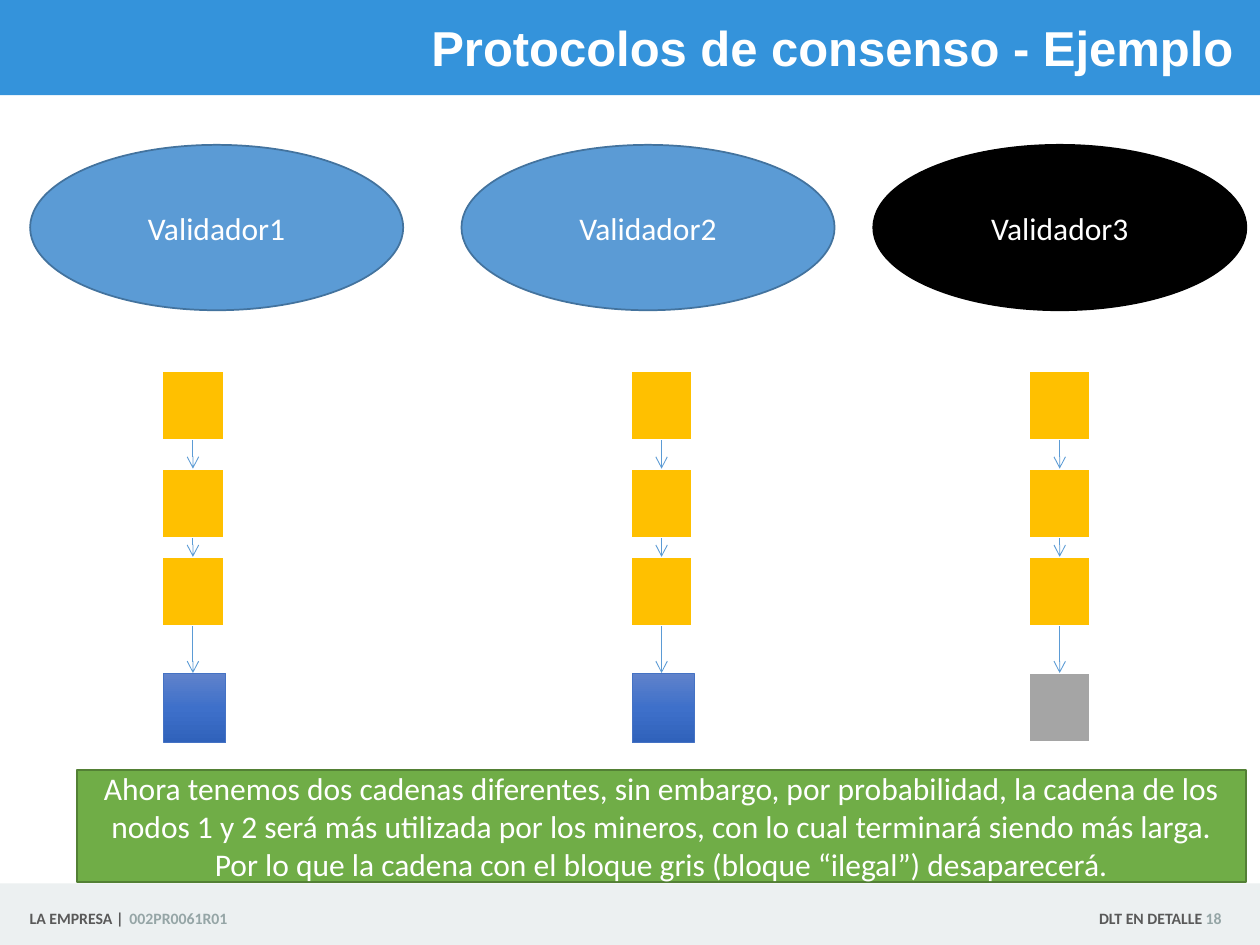
from copy import deepcopy

from lxml import etree
from pptx import Presentation
from pptx.dml.color import RGBColor
from pptx.enum import shapes, text
from pptx.oxml import ns
from pptx.util import Pt

WHITE = RGBColor(0xFF, 0xFF, 0xFF)
BLACK = RGBColor(0, 0, 0)
HEADER_BLUE = RGBColor(0x34, 0x93, 0xDB)
FOOTER_GRAY = RGBColor(0xEC, 0xF0, 0xF1)
DARK_GRAY = RGBColor(0x59, 0x59, 0x59)
SOFT_GRAY = RGBColor(0x95, 0xA5, 0xA6)
NODE_BLUE = RGBColor(0x5B, 0x9B, 0xD5)
NODE_EDGE = RGBColor(0x43, 0x73, 0x9E)
GOLD = RGBColor(0xFF, 0xC0, 0x00)
ILLEGAL_GRAY = RGBColor(0xA5, 0xA5, 0xA5)
BLOCK_EDGE = RGBColor(0x44, 0x72, 0xC4)
BLOCK_BLUES = [RGBColor(0x61, 0x83, 0xCB), RGBColor(0x3E, 0x70, 0xCA), RGBColor(0x30, 0x62, 0xBB)]
GREEN = RGBColor(0x70, 0xAD, 0x47)
GREEN_EDGE = RGBColor(0x53, 0x80, 0x35)

TITLE = "Protocolos de consenso - Ejemplo"
CONCLUSION = (
    "Ahora tenemos dos cadenas diferentes, sin embargo, por probabilidad, "
    "la cadena de los nodos 1 y 2 será más utilizada por los mineros, con lo cual "
    "terminará siendo más larga. Por lo que la cadena con el bloque gris "
    "(bloque “ilegal”) desaparecerá."
)
VALIDATORS = [
    ("Validador1", 17.2, 92.5, True),
    ("Validador2", 263.7, 360.3, True),
    ("Validador3", 499, 587.8, False),
]
LEFT, CENTER, RIGHT = text.PP_ALIGN.LEFT, text.PP_ALIGN.CENTER, text.PP_ALIGN.RIGHT
FOOTER = [
    ("LA EMPRESA |", 2, 68.5, RIGHT, DARK_GRAY, (7.2, 0)),
    ("002PR0061R01", 74, 80, LEFT, SOFT_GRAY, (0, 7.2)),
    ("DLT EN DETALLE", 443.5, 243.4, RIGHT, DARK_GRAY, (7.2, 0)),
    (" 18", 686.9, 25, LEFT, SOFT_GRAY, (0, 7.2)),
]
BLOCK_TOPS = [211.8, 267.8, 318.2, 384.6]
BLOCK_W, BLOCK_H = 35.5, 39.8

prs = Presentation()
prs.slide_width, prs.slide_height = Pt(720), Pt(540)
slide = prs.slides.add_slide(prs.slide_layouts[6])


def write(shape, words, size, color, align=CENTER, font="Calibri", bold=False, sides=(7.2, 7.2)):
    frame = shape.text_frame
    frame.word_wrap = True
    frame.vertical_anchor = text.MSO_ANCHOR.MIDDLE
    frame.margin_left, frame.margin_right = map(Pt, sides)
    frame.text = words
    paragraph = frame.paragraphs[0]
    paragraph.alignment = align
    run_font = paragraph.runs[0].font
    run_font.name, run_font.size, run_font.bold = font, Pt(size), bold
    run_font.color.rgb = color


def add_label(words, box, *style, **options):
    label = slide.shapes.add_textbox(*map(Pt, box))
    write(label, words, *style, **options)


def add_figure(kind, box, fill, edge=None, weight=1):
    figure = slide.shapes.add_shape(kind, *map(Pt, box))
    figure.shadow.inherit = False
    if isinstance(fill, list):
        shade(figure, fill)
    else:
        figure.fill.solid()
        figure.fill.fore_color.rgb = fill
    if edge is None:
        figure.line.fill.background()
    else:
        figure.line.color.rgb = edge
        figure.line.width = Pt(weight)
    return figure


def shade(figure, colors):
    figure.fill.gradient()
    figure.fill.gradient_angle = 270
    stops = figure._element.spPr.find(".//" + ns.qn("a:gsLst"))
    middle = deepcopy(stops[0])
    middle.set("pos", "50000")
    stops.insert(1, middle)
    for stop, color in zip(figure.fill.gradient_stops, colors):
        stop.color.rgb = color


def add_arrow(x, top, bottom):
    arrow = slide.shapes.add_connector(
        shapes.MSO_CONNECTOR.STRAIGHT, Pt(x), Pt(top), Pt(x), Pt(bottom)
    )
    arrow.line.color.rgb = NODE_BLUE
    arrow.line.width = Pt(0.5)
    etree.SubElement(arrow.line._get_or_add_ln(), ns.qn("a:tailEnd"), type="arrow")
    etree.SubElement(arrow._element.spPr, ns.qn("a:effectLst"))


RECT, OVAL = shapes.MSO_SHAPE.RECTANGLE, shapes.MSO_SHAPE.OVAL

add_figure(RECT, (0, 0, 720, 54.4), HEADER_BLUE)
add_figure(RECT, (0, 504.8, 720, 35.2), FOOTER_GRAY)
add_label(TITLE, (110.9, 0.7, 601, 51.8), 28, WHITE, RIGHT, font="Arial", bold=True)
for words, left, width, align, color, sides in FOOTER:
    add_label(words, (left, 513.7, width, 22.3), 9, color, align, bold=True, sides=sides)

for name, oval_left, chain_left, honest in VALIDATORS:
    node_colors = (NODE_BLUE, NODE_EDGE) if honest else (BLACK, BLACK)
    validator = add_figure(OVAL, (oval_left, 82.8, 213.2, 94.5), *node_colors)
    write(validator, name, 18, WHITE)

    for top in BLOCK_TOPS[:-1]:
        add_figure(RECT, (chain_left, top, BLOCK_W, BLOCK_H), GOLD, WHITE, 1.5)
    last_box = (chain_left + honest, BLOCK_TOPS[-1], BLOCK_W, BLOCK_H)
    if honest:
        add_figure(RECT, last_box, BLOCK_BLUES, BLOCK_EDGE, 0.5)
    else:
        add_figure(RECT, last_box, ILLEGAL_GRAY, WHITE, 1.5)
    for top, following in zip(BLOCK_TOPS, BLOCK_TOPS[1:]):
        add_arrow(chain_left + BLOCK_W / 2, top + BLOCK_H, following)

conclusion = add_figure(RECT, (43.9, 440.1, 668.2, 64), GREEN, GREEN_EDGE)
write(conclusion, CONCLUSION, 18, WHITE)

prs.save("out.pptx")
